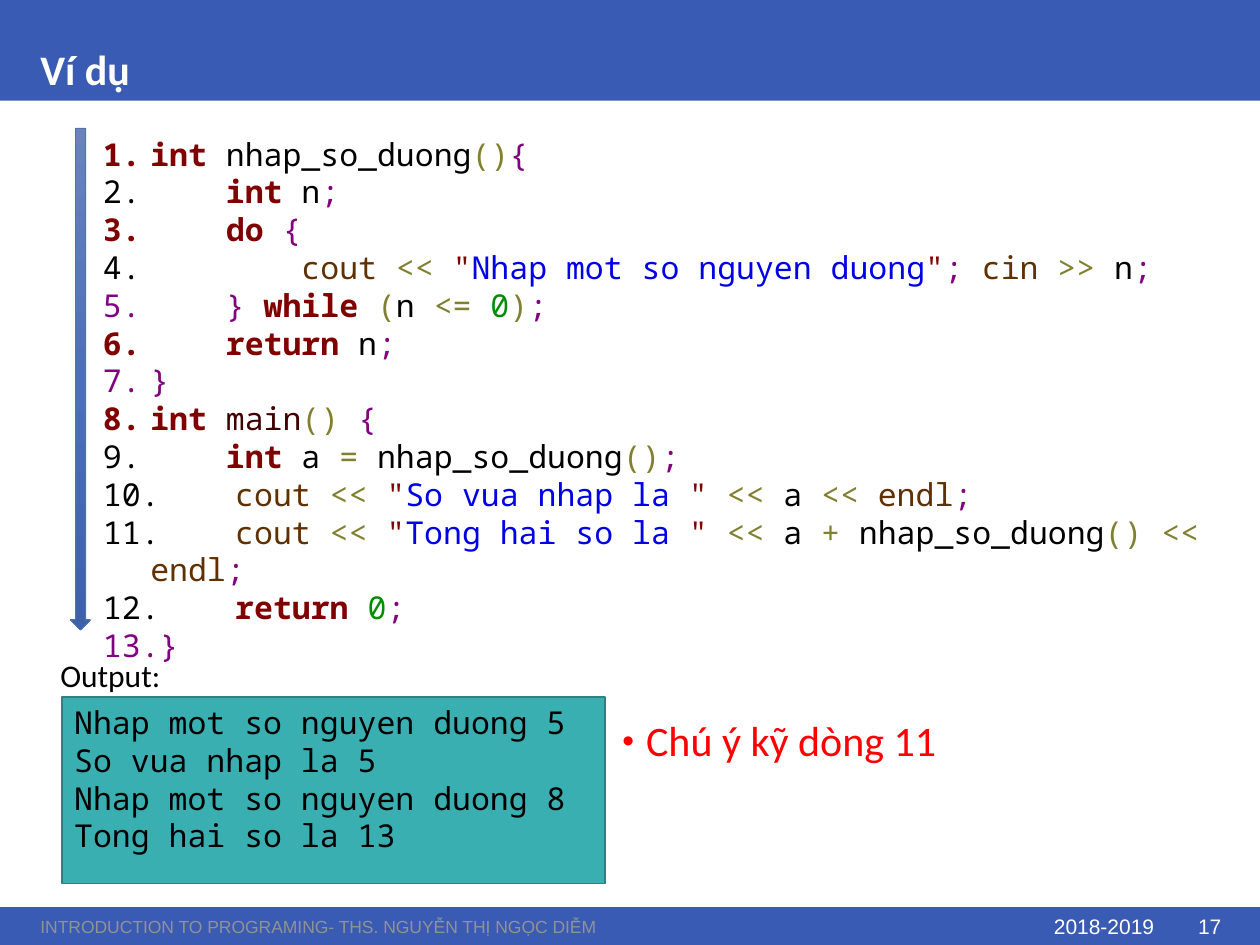
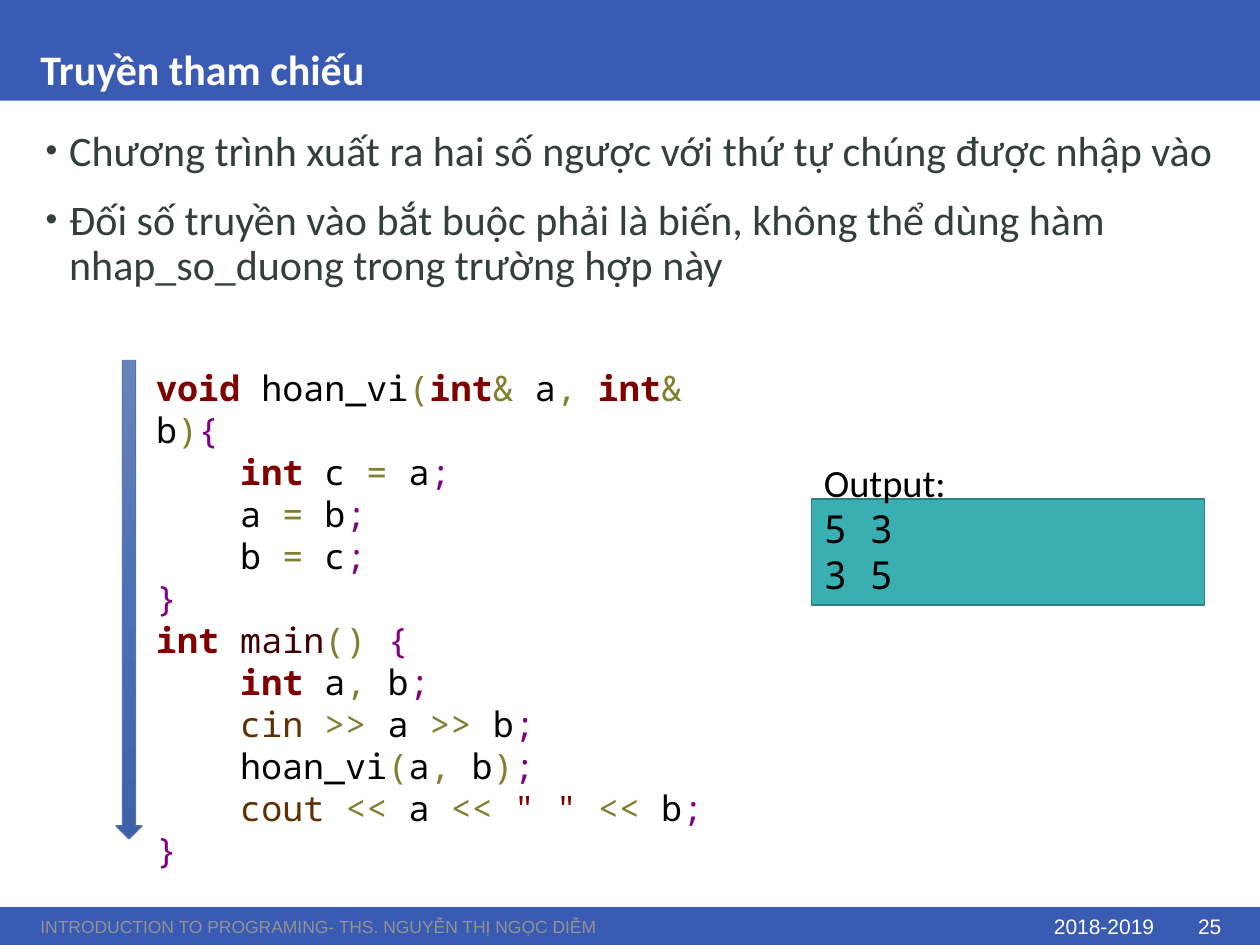
from itertools import groupby

from lxml.etree import SubElement
from pptx import Presentation
from pptx.dml.color import RGBColor
from pptx.enum.shapes import MSO_SHAPE
from pptx.enum.text import MSO_ANCHOR, PP_ALIGN
from pptx.oxml import parse_xml
from pptx.oxml.ns import nsdecls, qn
from pptx.util import Pt

COLORS = {
    "band": "3A5BB3", "white": "FFFFFF", "footer": "919292", "body": "363D3D",
    "black": "000000", "warning": "FF0000",
    "output": "3AAFB2", "output line": "2B8184",
    "arrow top": "6A83BA", "arrow middle": "4C70B6", "arrow bottom": "3E62A7",
    "arrow line": "5172B1",
    # Code
    "keyword": "800000", "quote": "800000", "string": "0000E6",
    "stream": "603000", "main": "400000", "number": "008C00",
    "operator": "808030", "bracket": "800080", "name": "000000", "space": "000000",
}
WORD_KINDS = {
    **dict.fromkeys(("int", "void", "do", "while", "return"), "keyword"),
    **dict.fromkeys(("cout", "cin", "endl"), "stream"),
    "main": "main",
}
WIDTH, HEIGHT = 720, 540
MARGIN, CONTENT_WIDTH = 16, 689
TITLE_HEIGHT, FOOTER_HEIGHT = 57.6, 21.6
SANS, MONO, FOOTER_FONT = "Calibri", "Noto Sans Mono", "Arial"
FOOTER = "INTRODUCTION TO PROGRAMING- THS. NGUYỄN THỊ NGỌC DIỄM"

INPUT_CODE = """int nhap_so_duong(){
    int n;
    do {
        cout << "Nhap mot so nguyen duong"; cin >> n;
    } while (n <= 0);
    return n;
}
int main() {
    int a = nhap_so_duong();
    cout << "So vua nhap la " << a << endl;
    cout << "Tong hai so la " << a + nhap_so_duong() << endl;
    return 0;
}"""
SWAP_CODE = """void hoan_vi(int& a, int& b){
    int c = a;
    a = b;
    b = c;
}
int main() {
    int a, b;
    cin >> a >> b;
    hoan_vi(a, b);
    cout << a << " " << b;
}"""


def character_kind(character):
    if character == " ":
        return "space"
    if character.isalnum() or character == "_":
        return "name"
    return "bracket" if character in "{};" else "operator"


def code_tokens(line):
    for position, piece in enumerate(line.split('"')):
        if position:
            yield '"', "quote"
        if position % 2:
            yield piece, "string"
            continue
        for kind, characters in groupby(piece, character_kind):
            word = "".join(characters)
            if kind == "name":
                kind = "number" if word.isdigit() else WORD_KINDS.get(word, "name")
            yield word, kind


def code_runs(line, styled_indent):
    """Join each space to the token before it; a styled indent joins the token after it."""
    runs = []
    for text, kind in code_tokens(line):
        if runs and kind in ("space", runs[-1][1]):
            runs[-1][0] += text
        elif styled_indent and len(runs) == 1 and runs[0][1] == "space":
            runs[0] = [runs[0][0] + text, kind]
        else:
            runs.append([text, kind])
    return runs


def color(name):
    return RGBColor.from_string(COLORS[name])


class Deck:
    def __init__(self):
        self.presentation = Presentation()
        self.presentation.slide_width = Pt(WIDTH)
        self.presentation.slide_height = Pt(HEIGHT)
        self.slide = None

    def new_slide(self, title, number):
        self.slide = self.presentation.slides.add_slide(self.presentation.slide_layouts[6])
        footer_top = HEIGHT - FOOTER_HEIGHT
        self.rectangle(0, 0, WIDTH, TITLE_HEIGHT, "band")
        self.rectangle(0, footer_top, WIDTH, FOOTER_HEIGHT, "band")
        title_box = self.text(title, MARGIN, 0, CONTENT_WIDTH, TITLE_HEIGHT, 24, "white",
                              bold=True, anchor=MSO_ANCHOR.BOTTOM)
        title_box.text_frame.paragraphs[0].line_spacing = 0.9
        for text, left, width, size, color_name, align in (
            ("2018-2019", 589.7, 77, 12, "white", PP_ALIGN.RIGHT),
            (FOOTER, MARGIN, 574, 10, "footer", PP_ALIGN.LEFT),
            (str(number), 666.7, 38.3, 12, "white", PP_ALIGN.RIGHT),
        ):
            self.text(text, left, footer_top + 1.5, width, 18.6, size, color_name,
                      FOOTER_FONT, align=align, anchor=MSO_ANCHOR.MIDDLE)

    def format_run(self, run, size, color_name, font, bold=False):
        run.font.name = font
        run.font.size = Pt(size)
        run.font.bold = bold
        run.font.color.rgb = color(color_name)

    def fill_text(self, shape, text, size, color_name, font, bold=False,
                  align=PP_ALIGN.LEFT, anchor=MSO_ANCHOR.TOP):
        frame = shape.text_frame
        frame.word_wrap = True
        frame.vertical_anchor = anchor
        frame.text = text
        for paragraph in frame.paragraphs:
            paragraph.alignment = align
            for run in paragraph.runs:
                self.format_run(run, size, color_name, font, bold)

    def text(self, text, left, top, width, height, size, color_name, font=SANS, **style):
        box = self.slide.shapes.add_textbox(Pt(left), Pt(top), Pt(width), Pt(height))
        self.fill_text(box, text, size, color_name, font, **style)
        return box

    def rectangle(self, left, top, width, height, fill, line=None):
        shape = self.slide.shapes.add_shape(
            MSO_SHAPE.RECTANGLE, Pt(left), Pt(top), Pt(width), Pt(height))
        shape.shadow.inherit = False
        shape.fill.solid()
        shape.fill.fore_color.rgb = color(fill)
        if line:
            shape.line.color.rgb = color(line)
            shape.line.width = Pt(1)
        else:
            shape.line.fill.background()
        return shape

    def output(self, text, left, top, width, height, size):
        box = self.rectangle(left, top, width, height, "output", "output line")
        self.fill_text(box, text, size, "black", MONO)

    def down_arrow(self, left, top, width, height):
        shape = self.slide.shapes.add_shape(
            MSO_SHAPE.DOWN_ARROW, Pt(left), Pt(top), Pt(width), Pt(height))
        stops = "".join(
            f'<a:gs pos="{position}"><a:srgbClr val="{COLORS[name]}"/></a:gs>'
            for position, name in ((0, "arrow top"), (50000, "arrow middle"),
                                   (100000, "arrow bottom")))
        shape._element.spPr.append(parse_xml(
            f'<a:gradFill {nsdecls("a")}><a:gsLst>{stops}</a:gsLst>'
            '<a:lin ang="5400000" scaled="0"/></a:gradFill>'))
        shape.line.color.rgb = color("arrow line")
        shape.line.width = Pt(0.5)
        shape.shadow.inherit = False

    def set_indent(self, paragraph, left, hanging):
        properties = paragraph._p.get_or_add_pPr()
        properties.set("marL", str(Pt(left)))
        properties.set("indent", str(-Pt(hanging)))
        return properties

    def bullets(self, items, left, top, width, height, color_name):
        box = self.text("\n".join(items), left, top, width, height, 24, color_name)
        for paragraph in box.text_frame.paragraphs:
            paragraph.line_spacing = 0.9
            paragraph.space_before = Pt(13.5)
            properties = self.set_indent(paragraph, 16.5, 13.5)
            SubElement(properties, qn("a:buSzPct"), val="80000")
            SubElement(properties, qn("a:buFont"), typeface="Arial")
            SubElement(properties, qn("a:buChar"), char="•")

    def code(self, source, left, top, width, height, size, numbered=False, styled_indents=()):
        """Colour the source by its syntax; styled_indents holds line numbers."""
        box = self.text("", left, top, width, height, size, "name", MONO)
        frame = box.text_frame
        for number, line in enumerate(source.splitlines(), 1):
            paragraph = frame.paragraphs[0] if number == 1 else frame.add_paragraph()
            if numbered:
                properties = self.set_indent(paragraph, 27, 27)
                SubElement(properties, qn("a:buAutoNum"), type="arabicPeriod")
            for text, kind in code_runs(line, number in styled_indents):
                run = paragraph.add_run()
                run.text = text
                self.format_run(run, size, kind, MONO, kind == "keyword")


def add_example(deck):
    deck.new_slide("Ví dụ", 17)
    deck.code(INPUT_CODE, 51.8, 73.4, 653, 291, 18, numbered=True, styled_indents=(3, 5, 6))
    deck.down_arrow(40.3, 73.4, 11.5, 286.6)
    deck.output("Nhap mot so nguyen duong 5\nSo vua nhap la 5\n"
                "Nhap mot so nguyen duong 8\nTong hai so la 13",
                35.3, 398.2, 310.3, 106.6, 18)
    deck.text("Output:", 27.4, 371.5, 115.2, 22.3, 18, "black")
    deck.bullets(["Chú ý kỹ dòng 11"], 345.6, 408.2, 265.7, 49.7, "warning")


def add_reference_passing(deck):
    deck.new_slide("Truyền tham chiếu", 25)
    deck.bullets(["Chương trình xuất ra hai số ngược với thứ tự chúng được nhập vào",
                  "Đối số truyền vào bắt buộc phải là biến, không thể dùng hàm "
                  "nhap_so_duong trong trường hợp này"],
                 MARGIN, 70.6, CONTENT_WIDTH, 435.6, "body")
    deck.code(SWAP_CODE, 82.1, 205.9, 337, 273.6, 20)
    deck.down_arrow(66.2, 205.9, 15.1, 273.6)
    deck.output("5 3\n3 5", 463.7, 285.1, 224.6, 60.5, 22)
    deck.text("Output:", 463.7, 258.5, 90, 33.8, 22, "black")


def main():
    deck = Deck()
    add_example(deck)
    add_reference_passing(deck)
    deck.presentation.save("out.pptx")


if __name__ == "__main__":
    main()
